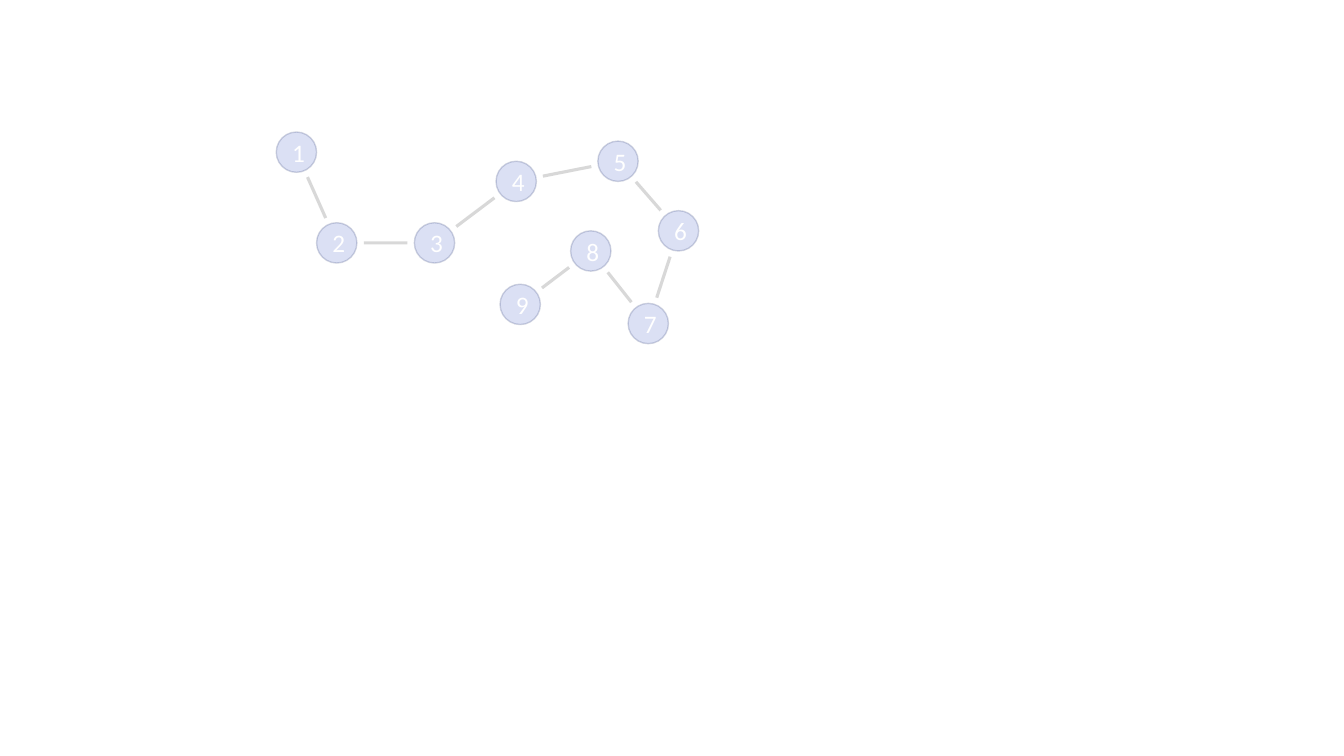
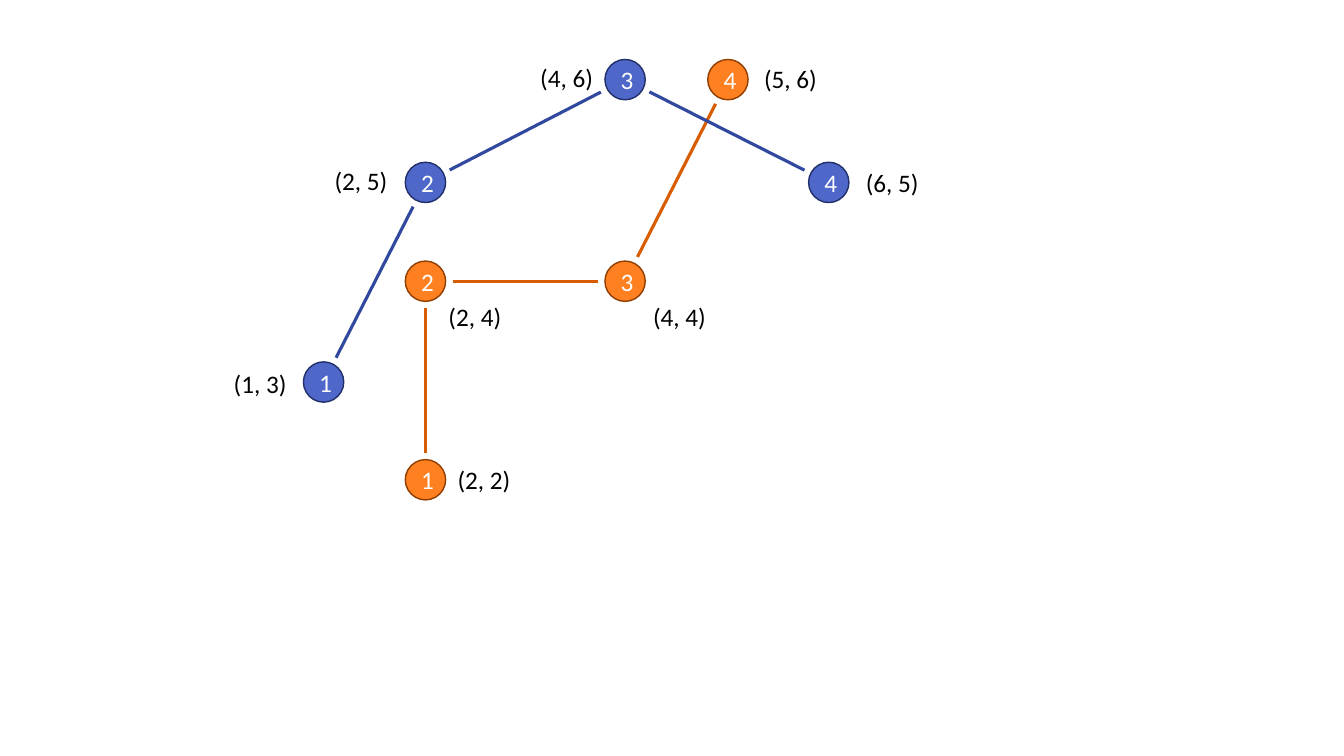
"""Build two slides of numbered routes: a faded path and two paths on a grid."""
import math
from dataclasses import dataclass

from lxml import etree
from pptx import Presentation
from pptx import util as u
from pptx.dml.color import RGBColor
from pptx.enum import shapes, text
from pptx.oxml.ns import qn

EMU_PER_PX = 9144
FONT = "Calibri"
NODE_SIZE = 40
LINK_GAP = 27
LABEL_WIDTH, LABEL_HEIGHT = 76, 40


@dataclass
class RouteStyle:
    """Colours of one route, with its opacity in percent."""
    fill: str
    outline: str
    link: str
    opacity: int = 100


BLUE = RouteStyle("4E67C8", "21306A", "31489F")
ORANGE = RouteStyle("FF8021", "903E00", "D85C00")
FADED = RouteStyle("4E67C8", "21306A", "404040", 20)

FADED_STOPS = [(294, 151), (334, 241), (431, 241), (512, 180), (613, 160),
               (673, 229), (643, 321), (586, 249), (516, 302)]

GRID_X = {1: 321, 2: 422, 4: 620, 5: 722, 6: 822}
GRID_Y = {2: 476, 3: 379, 4: 279, 5: 181, 6: 79}

ORANGE_LABELS = {(2, 2): (58, 0), (2, 4): (49, 35),
                 (4, 4): (54, 35), (5, 6): (62, -1)}
BLUE_LABELS = {(1, 3): (-63, 1), (2, 5): (-64, -2),
               (4, 6): (-58, -2), (6, 5): (63, 0)}


def px(length):
    """Turn px into EMU."""
    return u.Emu(round(length * EMU_PER_PX))


def colour(hex_string):
    """Turn a hex string into a colour."""
    return RGBColor.from_string(hex_string)


def box_around(centre, width, height):
    """Return left, top, width and height of a box around its centre."""
    x, y = centre
    return px(x - width / 2), px(y - height / 2), px(width), px(height)


def set_line(line, hex_string, points):
    """Give a line its colour and width."""
    line.color.rgb = colour(hex_string)
    line.width = u.Pt(points)


def set_opacity(shape, percent):
    """Make the fill and line of a shape see-through."""
    if percent < 100:
        for tint in shape.element.spPr.iter(qn("a:srgbClr")):
            etree.SubElement(tint, qn("a:alpha"), val=str(percent * 1000))


def write(shape, words, hex_string="000000", size=18, wrap=True,
          anchor=text.MSO_ANCHOR.TOP):
    """Put one centred line of text into a shape."""
    frame = shape.text_frame
    frame.word_wrap = wrap
    frame.vertical_anchor = anchor
    paragraph = frame.paragraphs[0]
    paragraph.alignment = text.PP_ALIGN.CENTER
    run = paragraph.add_run()
    run.text = words
    run.font.name = FONT
    run.font.size = u.Pt(size)
    run.font.color.rgb = colour(hex_string)


def add_node(canvas, centre, number, style):
    """Draw one numbered stop."""
    node = canvas.add_shape(shapes.MSO_SHAPE.OVAL,
                            *box_around(centre, NODE_SIZE, NODE_SIZE))
    node.shadow.inherit = False
    node.fill.solid()
    node.fill.fore_color.rgb = colour(style.fill)
    set_line(node.line, style.outline, 1)
    set_opacity(node, style.opacity)
    write(node, str(number), "FFFFFF", anchor=text.MSO_ANCHOR.MIDDLE)


def add_link(canvas, start, end, style):
    """Draw a line between two stops, clear of both."""
    (x1, y1), (x2, y2) = start, end
    share = LINK_GAP / math.dist(start, end)
    dx, dy = (x2 - x1) * share, (y2 - y1) * share
    link = canvas.add_connector(shapes.MSO_CONNECTOR.STRAIGHT,
                                px(x1 + dx), px(y1 + dy),
                                px(x2 - dx), px(y2 - dy))
    set_line(link.line, style.link, 2.25)
    etree.SubElement(link.element.spPr, qn("a:effectLst"))
    set_opacity(link, style.opacity)


def add_route(canvas, stops, style):
    """Draw numbered stops and the links from each to the next."""
    for number, stop in enumerate(stops, 1):
        add_node(canvas, stop, number, style)
    for start, end in zip(stops, stops[1:]):
        add_link(canvas, start, end, style)


def add_label(canvas, centre, words):
    """Write a coordinate label around its centre."""
    label = canvas.add_textbox(*box_around(centre, LABEL_WIDTH, LABEL_HEIGHT))
    write(label, words, wrap=False)


def add_grid_route(canvas, labels, style):
    """Draw a route through grid points and label each point."""
    stops = [(GRID_X[column], GRID_Y[row]) for column, row in labels]
    add_route(canvas, stops, style)
    for (x, y), (point, (dx, dy)) in zip(stops, labels.items()):
        add_label(canvas, (x + dx, y + dy), str(point))


def main():
    """Build and save both slides."""
    deck = Presentation()
    deck.slide_width, deck.slide_height = u.Inches(13.33), u.Inches(7.5)
    blank = deck.slide_layouts[6]

    faded_slide = deck.slides.add_slide(blank)
    add_route(faded_slide.shapes.add_group_shape().shapes, FADED_STOPS, FADED)

    grid_slide = deck.slides.add_slide(blank)
    add_grid_route(grid_slide.shapes, ORANGE_LABELS, ORANGE)
    add_grid_route(grid_slide.shapes, BLUE_LABELS, BLUE)

    deck.save("out.pptx")


if __name__ == "__main__":
    main()
